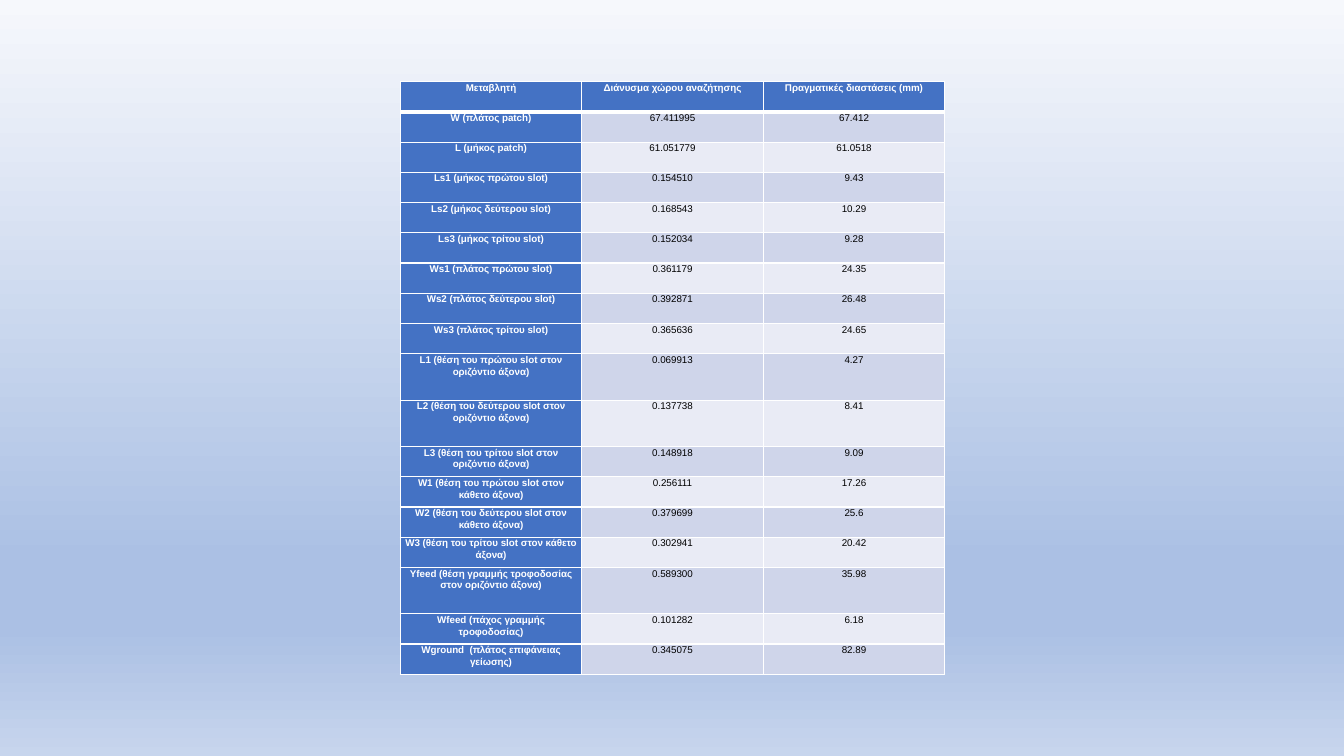
"""Build the slide with the table of antenna variables and their dimensions."""
from dataclasses import dataclass

from lxml.etree import SubElement
from pptx import Presentation
from pptx.dml.color import RGBColor
from pptx.enum.text import PP_ALIGN
from pptx.oxml.ns import qn
from pptx.slide import Slide
from pptx.table import _Cell
from pptx.util import Inches, Pt

WHITE = RGBColor(0xFF, 0xFF, 0xFF)
BLACK = RGBColor(0x00, 0x00, 0x00)
BLUE = RGBColor(0x44, 0x72, 0xC4)
BAND_DARK = RGBColor(0xCF, 0xD5, 0xEA)
BAND_LIGHT = RGBColor(0xE9, 0xEB, 0xF5)
SKY_TOP = RGBColor(0xF6, 0xF8, 0xFC)
SKY_MIDDLE = RGBColor(0xAB, 0xC0, 0xE4)
SKY_BOTTOM = RGBColor(0xC7, 0xD5, 0xED)
SKY_STOPS = [(0, SKY_TOP), (74, SKY_MIDDLE), (83, SKY_MIDDLE), (100, SKY_BOTTOM)]

FONT = "Arial"
COLUMN_WIDTH = 1.8
SHORT, TALL = 0.3, 0.46
HEADERS = ("Μεταβλητή", "Διάνυσμα χώρου αναζήτησης", "Πραγματικές διαστάσεις (mm)")


@dataclass(frozen=True)
class Variable:
    label: str
    search: str
    actual: str
    height: float = SHORT


VARIABLES = [
    Variable("W (πλάτος patch)", "67.411995", "67.412"),
    Variable("L (μήκος patch)", "61.051779", "61.0518"),
    Variable("Ls1 (μήκος πρώτου slot)", "0.154510", "9.43"),
    Variable("Ls2 (μήκος δεύτερου slot)", "0.168543", "10.29"),
    Variable("Ls3 (μήκος τρίτου slot)", "0.152034", "9.28"),
    Variable("Ws1 (πλάτος πρώτου slot)", "0.361179", "24.35"),
    Variable("Ws2 (πλάτος δεύτερου slot)", "0.392871", "26.48"),
    Variable("Ws3 (πλάτος τρίτου slot)", "0.365636", "24.65"),
    Variable("L1 (θέση του πρώτου slot στον οριζόντιο άξονα)", "0.069913", "4.27", TALL),
    Variable("L2 (θέση του δεύτερου slot στον οριζόντιο άξονα)", "0.137738", "8.41", TALL),
    Variable("L3 (θέση του τρίτου slot στον οριζόντιο άξονα)", "0.148918", "9.09"),
    Variable("W1 (θέση του πρώτου slot στον κάθετο άξονα)", "0.256111", "17.26"),
    Variable("W2 (θέση του δεύτερου slot στον κάθετο άξονα)", "0.379699", "25.6"),
    Variable("W3 (θέση του τρίτου slot στον κάθετο άξονα)", "0.302941", "20.42"),
    Variable("Yfeed (θέση γραμμής τροφοδοσίας στον οριζόντιο άξονα)", "0.589300", "35.98", TALL),
    Variable("Wfeed (πάχος γραμμής τροφοδοσίας)", "0.101282", "6.18"),
    Variable("Wground  (πλάτος επιφάνειας γείωσης)", "0.345075", "82.89"),
]


def paint_background(s: Slide) -> None:
    fill = s.background.fill
    fill.gradient()
    fill.gradient_angle = 270
    stops = s.element.find(".//" + qn("a:gsLst"))
    stops.clear()
    for position, color in SKY_STOPS:
        stop = SubElement(stops, qn("a:gs"), pos=str(position * 1000))
        SubElement(stop, qn("a:srgbClr"), val=str(color))


def set_borders(cell: _Cell, top: float, bottom: float) -> None:
    tc_pr = cell._tc.get_or_add_tcPr()
    for side, width in (("L", 1), ("R", 1), ("T", top), ("B", bottom)):
        line = SubElement(tc_pr, qn(f"a:ln{side}"), w=str(Pt(width)))
        fill = SubElement(line, qn("a:solidFill"))
        SubElement(fill, qn("a:srgbClr"), val=str(WHITE))


def fill_cell(cell: _Cell, text: str, fill: RGBColor, color: RGBColor, bold: bool) -> None:
    cell.margin_left = cell.margin_right = Inches(0.05)
    cell.margin_top = cell.margin_bottom = 0
    cell.fill.solid()
    cell.fill.fore_color.rgb = fill
    p = cell.text_frame.paragraphs[0]
    p.text = text
    p.alignment = PP_ALIGN.CENTER
    p.line_spacing = 1.07
    font = p.runs[0].font
    font.name, font.size, font.bold = FONT, Pt(7), bold
    font.color.rgb = color


def add_variable_table(s: Slide) -> None:
    rows = [HEADERS] + [(v.label, v.search, v.actual) for v in VARIABLES]
    heights = [SHORT] + [v.height for v in VARIABLES]
    table = s.shapes.add_table(
        len(rows), len(HEADERS), Inches(3.97), Inches(0.81),
        Inches(COLUMN_WIDTH * len(HEADERS)), Inches(sum(heights)),
    ).table
    table.first_row = table.horz_banding = False
    for column in table.columns:
        column.width = Inches(COLUMN_WIDTH)
    for i, (texts, height) in enumerate(zip(rows, heights)):
        table.rows[i].height = Inches(height)
        band = BAND_DARK if i % 2 else BAND_LIGHT
        for j, text in enumerate(texts):
            heading = i == 0 or j == 0
            cell = table.cell(i, j)
            set_borders(cell, top=3 if i == 1 else 1, bottom=3 if i == 0 else 1)
            fill_cell(cell, text, BLUE if heading else band, WHITE if heading else BLACK, heading)


def main() -> None:
    prs = Presentation()
    prs.slide_width, prs.slide_height = Inches(13.33), Inches(7.5)
    s = prs.slides.add_slide(prs.slide_layouts[6])
    paint_background(s)
    add_variable_table(s)
    prs.save("out.pptx")


if __name__ == "__main__":
    main()
